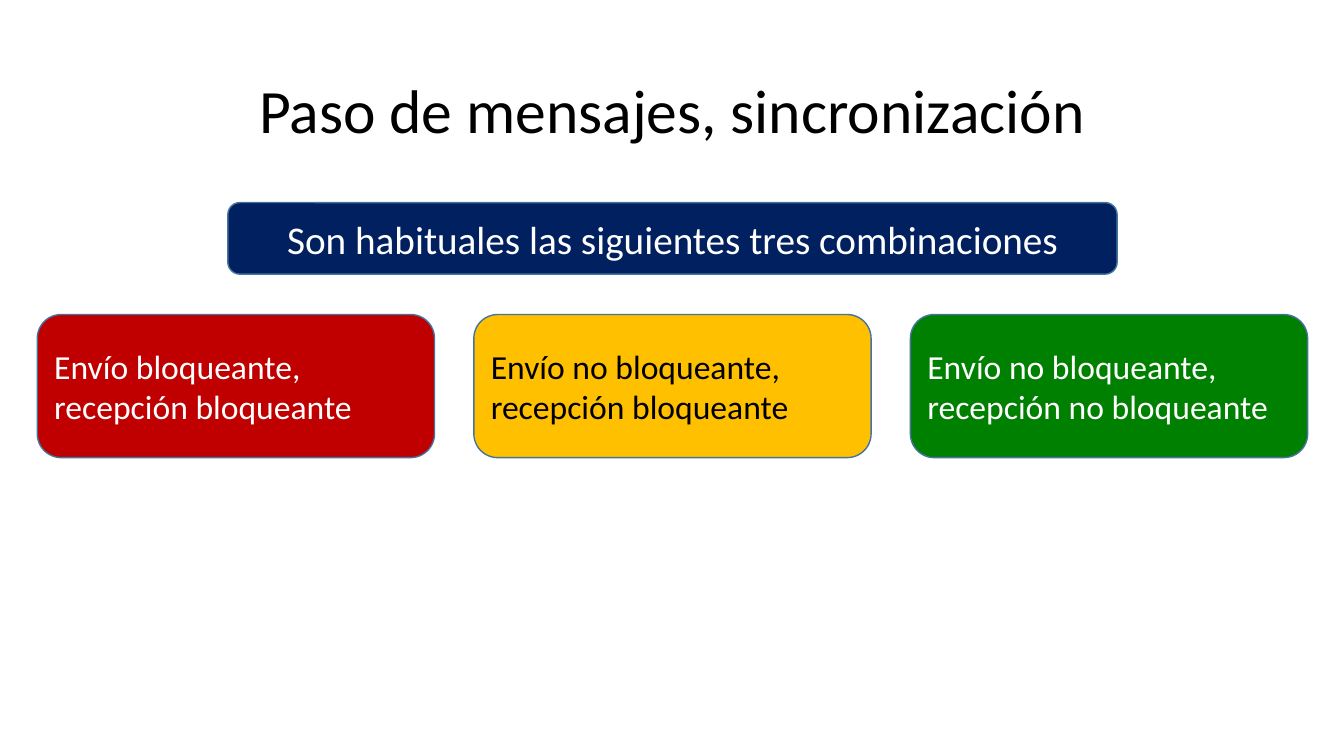
from pptx import Presentation
from pptx.dml.color import RGBColor
from pptx.enum.shapes import MSO_SHAPE
from pptx.enum.text import MSO_ANCHOR, PP_ALIGN
from pptx.util import Pt

EMU_PER_PX = 9144  # 100 px to the inch
FONT = "Calibri"
BLACK = RGBColor(0x00, 0x00, 0x00)
WHITE = RGBColor(0xFF, 0xFF, 0xFF)
NAVY = RGBColor(0x00, 0x20, 0x60)
RED = RGBColor(0xC0, 0x00, 0x00)
AMBER = RGBColor(0xFF, 0xC0, 0x00)
GREEN = RGBColor(0x00, 0x80, 0x00)
OUTLINE = RGBColor(0x43, 0x73, 0x9E)

COMBINATIONS = [
    ("Envío bloqueante, recepción bloqueante", RED, WHITE),
    ("Envío no bloqueante, recepción bloqueante", AMBER, BLACK),
    ("Envío no bloqueante, recepción no bloqueante", GREEN, WHITE),
]


def px(length):
    return length * EMU_PER_PX


def write(shape, text, size, color, align):
    frame = shape.text_frame
    frame.text = text
    frame.word_wrap = True
    frame.vertical_anchor = MSO_ANCHOR.MIDDLE
    paragraph = frame.paragraphs[0]
    paragraph.alignment = align
    font = paragraph.runs[0].font
    font.name = FONT
    font.size = Pt(size)
    font.color.rgb = color


def place_title(slide, left, top, width, height):
    title = slide.shapes.title
    title.left, title.top = px(left), px(top)
    title.width, title.height = px(width), px(height)
    write(title, "Paso de mensajes, sincronización", 44, BLACK, PP_ALIGN.CENTER)
    title.text_frame.paragraphs[0].line_spacing = 0.9


def add_panel(slide, left, top, width, height, fill):
    panel = slide.shapes.add_shape(
        MSO_SHAPE.ROUNDED_RECTANGLE, px(left), px(top), px(width), px(height))
    panel.shadow.inherit = False
    panel.fill.solid()
    panel.fill.fore_color.rgb = fill
    panel.line.color.rgb = OUTLINE
    panel.line.width = Pt(1)
    return panel


def add_banner(slide, left, top, width, height):
    banner = add_panel(slide, left, top, width, height, NAVY)
    write(banner, "Son habituales las siguientes tres combinaciones",
          28, WHITE, PP_ALIGN.CENTER)


def add_combinations(slide, left, top, width, height, gap):
    """Share the width equally among the combination cards."""
    count = len(COMBINATIONS)
    card_width = (width - gap * (count - 1)) // count
    for index, (text, fill, color) in enumerate(COMBINATIONS):
        card_left = left + index * (card_width + gap)
        card = add_panel(slide, card_left, top, card_width, height, fill)
        write(card, text, 24, color, PP_ALIGN.LEFT)


def main():
    presentation = Presentation()
    presentation.slide_width = px(1333)
    presentation.slide_height = px(750)
    title_only = presentation.slide_layouts[5]
    slide = presentation.slides.add_slide(title_only)
    place_title(slide, 92, 40, 1150, 145)
    add_banner(slide, 226, 201, 882, 71)
    add_combinations(slide, 37, 312, 1260, 142, gap=39)
    presentation.save("out.pptx")


if __name__ == "__main__":
    main()
